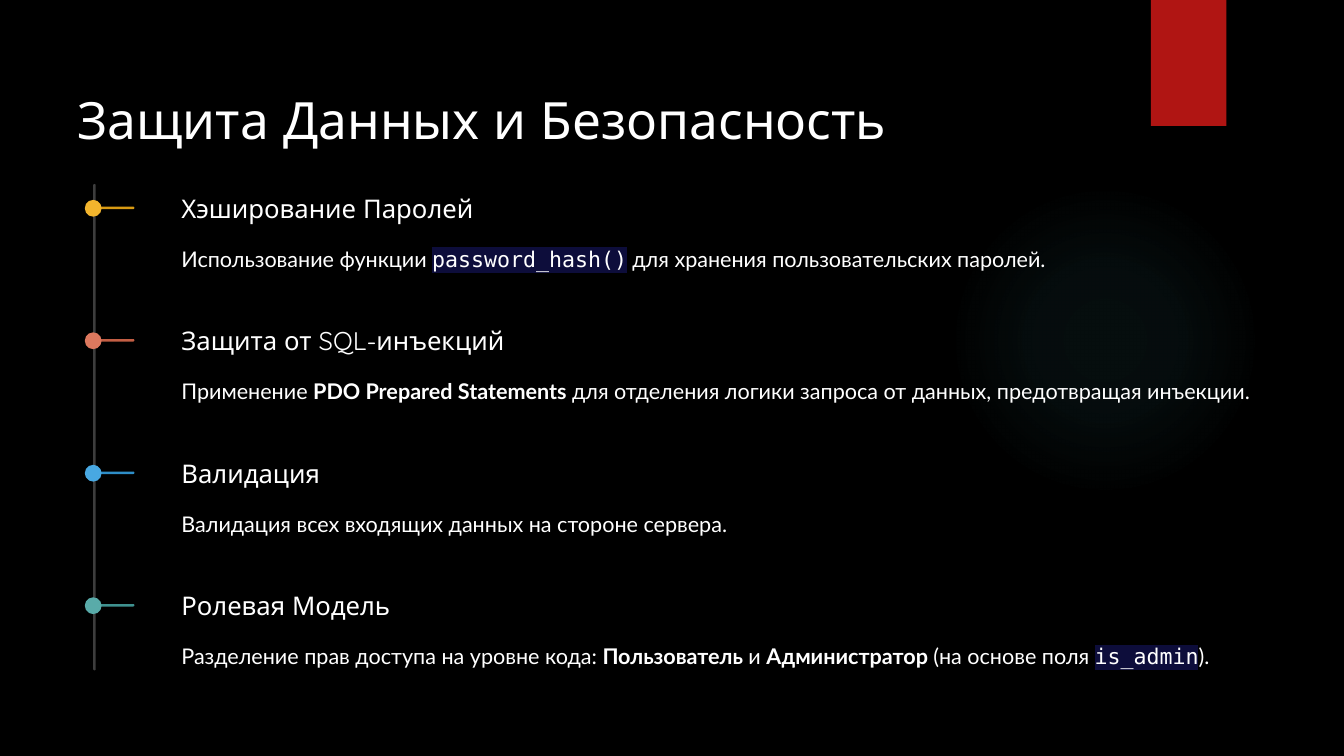
from dataclasses import dataclass

from lxml.etree import SubElement
from pptx import Presentation
from pptx.dml.color import RGBColor
from pptx.enum.shapes import MSO_SHAPE
from pptx.enum.text import MSO_AUTO_SIZE
from pptx.oxml import parse_xml
from pptx.oxml.ns import nsdecls, qn
from pptx.util import Inches, Pt


@dataclass(frozen=True)
class Theme:
    """Hold the colours, fonts and type sizes."""
    back: str = "000000"
    ink: str = "FFFFFF"
    red: str = "B01513"
    glow: str = "50B9C1"
    mark: str = "0D0D3B"
    head: str = "Quicksand"
    body: str = "Lato"
    mono: str = "DejaVu Sans Mono"
    title: float = 44
    sub: float = 22
    text: float = 18.5


def add_run(para, text, font, size, color, bold=False, mark=None):
    """Add one styled run of text to a paragraph."""
    run = para.add_run()
    run.text = text
    run.font.size = Pt(size)
    run.font.bold = bold
    run.font.color.rgb = RGBColor.from_string(color)
    if mark:
        light = SubElement(run.font._element, qn("a:highlight"))
        SubElement(light, qn("a:srgbClr"), val=mark)
    run.font.name = font


class Deck:
    """Draw elements on the current slide in one style."""

    def __init__(self, theme):
        """Start a wide deck with one blank slide."""
        self.theme = theme
        self.show = Presentation()
        self.show.slide_width, self.show.slide_height = Inches(16), Inches(9)
        self.slide = self.show.slides.add_slide(self.show.slide_layouts[6])
        fill = self.slide.background.fill
        fill.solid()
        fill.fore_color.rgb = RGBColor.from_string(theme.back)

    def shape(self, kind, box, color, alpha=None):
        """Add a plain filled shape."""
        item = self.slide.shapes.add_shape(kind, *map(Inches, box))
        item.shadow.inherit = False
        item.line.fill.background()
        item.fill.solid()
        item.fill.fore_color.rgb = RGBColor.from_string(color)
        if alpha is not None:
            tint = item._element.spPr.find(".//" + qn("a:srgbClr"))
            SubElement(tint, qn("a:alpha"), val=str(alpha * 1000))
        return item

    def pill(self, box, color, alpha=None):
        """Add a bar or dot with fully round ends."""
        item = self.shape(MSO_SHAPE.ROUNDED_RECTANGLE, box, color, alpha)
        item.adjustments[0] = 0.5

    def glow(self, box, color, stops):
        """Add a circle that fades from its centre."""
        item = self.shape(MSO_SHAPE.OVAL, box, color)
        steps = "".join(
            f'<a:gs pos="{pos * 1000}"><a:srgbClr val="{color}">'
            f'<a:alpha val="{alpha * 1000}"/></a:srgbClr></a:gs>'
            for pos, alpha in stops)
        fade = parse_xml(
            f'<a:gradFill {nsdecls("a")}><a:gsLst>{steps}</a:gsLst>'
            '<a:path path="circle"><a:fillToRect l="50000" t="50000" '
            'r="50000" b="50000"/></a:path></a:gradFill>')
        props = item._element.spPr
        props.replace(props.find(qn("a:solidFill")), fade)

    def text(self, box, parts, font, size, pitch):
        """Add one line of text made of plain, bold and code parts."""
        theme = self.theme
        frame = self.slide.shapes.add_textbox(*map(Inches, box)).text_frame
        frame.margin_left = frame.margin_right = 0
        frame.margin_top = frame.margin_bottom = 0
        frame.word_wrap = False
        frame.auto_size = MSO_AUTO_SIZE.NONE
        para = frame.paragraphs[0]
        para.line_spacing = Pt(pitch)
        looks = {"plain": {}, "bold": {"bold": True},
                 "code": {"font": theme.mono, "mark": theme.mark}}
        for words, look in parts:
            base = {"font": font, "size": size, "color": theme.ink}
            add_run(para, words, **(base | looks[look]))

    def point(self, top, line, dot, head, parts):
        """Add one step of the timeline."""
        theme = self.theme
        self.pill((1.08, top + 0.18, 0.52, 0.03), line)
        self.pill((1.01, top + 0.1, 0.2, 0.2), dot)
        self.text((2.16, top, 3.76, 0.38), [(head, "plain")],
                  theme.head, theme.sub, 27.5)
        self.text((2.16, top + 0.54, 12.92, 0.43), parts,
                  theme.body, theme.text, 30)


POINTS = [
    ("D89A13", "F2B42D", "Хэширование Паролей",
     [("Использование функции ", "plain"), ("password_hash()", "code"),
      (" для хранения пользовательских паролей.", "plain")]),
    ("C35E44", "DD785E", "Защита от SQL-инъекций",
     [("Применение ", "plain"), ("PDO Prepared Statements", "bold"),
      (" для отделения логики запроса от данных, предотвращая инъекции.",
       "plain")]),
    ("2E8EC8", "48A8E2", "Валидация",
     [("Валидация всех входящих данных на стороне сервера.", "plain")]),
    ("3F918F", "59ABA9", "Ролевая Модель",
     [("Разделение прав доступа на уровне кода: ", "plain"),
      ("Пользователь", "bold"), (" и ", "plain"),
      ("Администратор", "bold"), (" (на основе поля ", "plain"),
      ("is_admin", "code"), (").", "plain")]),
]


def main():
    """Build and save the slide."""
    theme = Theme()
    deck = Deck(theme)
    deck.glow((11.3, 2.2, 3.7, 3.7), theme.glow, [(0, 7), (36, 6), (69, 0)])
    deck.shape(MSO_SHAPE.RECTANGLE, (13.7, 0, 0.9, 1.5), theme.red)
    deck.text((0.92, 1.02, 9.49, 0.77),
              [("Защита Данных и Безопасность", "plain")],
              theme.head, theme.title, 55)
    deck.pill((1.11, 2.19, 0.03, 5.79), theme.ink, alpha=24)
    for row, point in enumerate(POINTS):
        deck.point(2.28 + row * 1.577, *point)
    deck.show.save("out.pptx")


if __name__ == "__main__":
    main()
